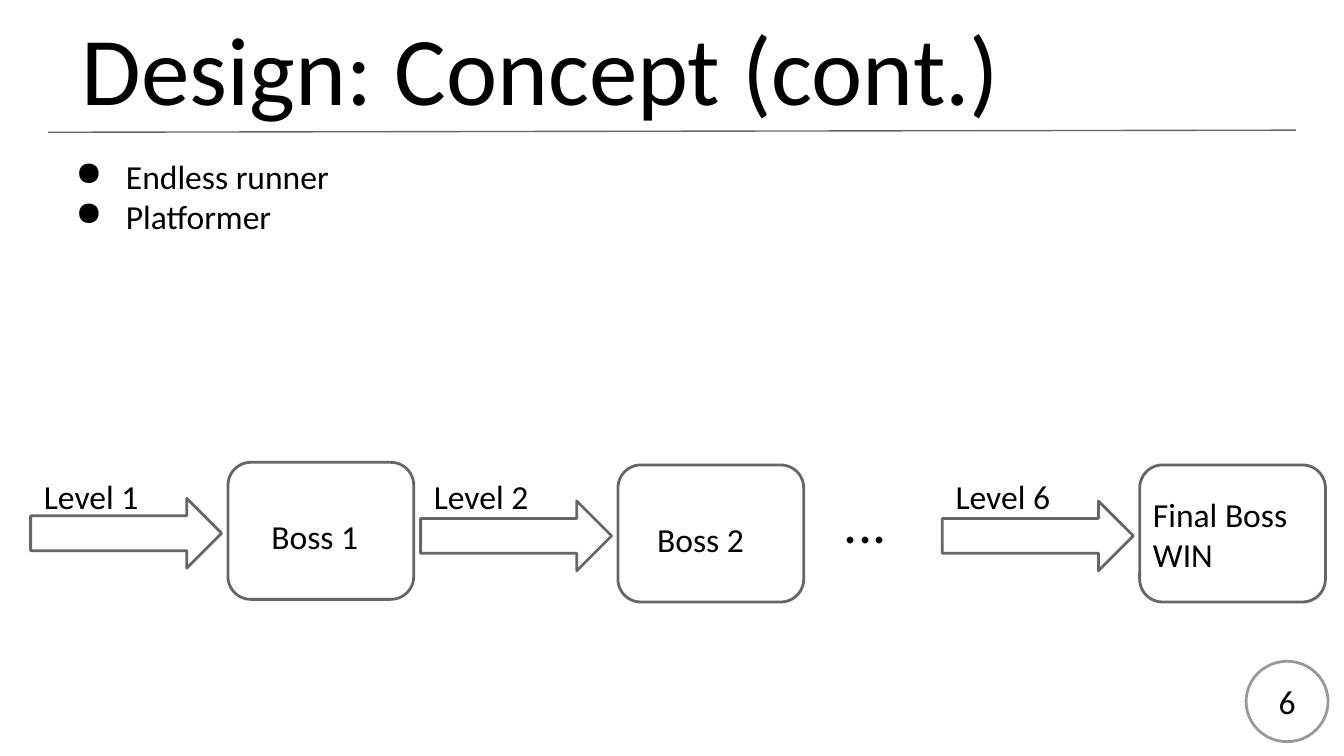
import pptx
import pptx.dml.color
import pptx.enum.shapes
import pptx.enum.text
import pptx.oxml
import pptx.oxml.ns
import pptx.util

Cm = pptx.util.Cm
Pt = pptx.util.Pt
ShapeType = pptx.enum.shapes.MSO_SHAPE
Anchor = pptx.enum.text.MSO_ANCHOR
Align = pptx.enum.text.PP_ALIGN


def color(value):
    return pptx.dml.color.RGBColor.from_string(value)


def add_bullet(paragraph):
    properties = paragraph._p.get_or_add_pPr()
    properties.set("marL", str(Cm(1.27)))
    properties.set("indent", str(-Cm(0.95)))
    namespace = pptx.oxml.ns.nsdecls("a")
    for markup in (
        f'<a:buClr {namespace}><a:srgbClr val="000000"/></a:buClr>',
        f'<a:buChar {namespace} char="●"/>',
    ):
        properties.append(pptx.oxml.parse_xml(markup))


def write_text(frame, text, size=18, align=Align.LEFT, anchor=Anchor.TOP, bullet=False):
    frame.word_wrap = True
    frame.vertical_anchor = anchor
    frame.margin_left = frame.margin_right = Cm(0.25)
    frame.margin_top = frame.margin_bottom = Cm(0.25)
    for index, line in enumerate(text.split("\n")):
        paragraph = frame.add_paragraph() if index else frame.paragraphs[0]
        paragraph.alignment = align
        if bullet:
            add_bullet(paragraph)
        run = paragraph.add_run()
        run.text = line
        run.font.name = "Calibri"
        run.font.size = Pt(size)
        run.font.color.rgb = color("000000")


class SlideBuilder:
    dark = "666666"
    light = "999999"

    def __init__(self, slide):
        self.slide = slide

    def text(self, left, top, width, height, text, **style):
        box = self.slide.shapes.add_textbox(Cm(left), Cm(top), Cm(width), Cm(height))
        write_text(box.text_frame, text, **style)

    def outline(self, kind, left, top, width, height, line=dark):
        shape = self.slide.shapes.add_shape(kind, Cm(left), Cm(top), Cm(width), Cm(height))
        shape.shadow.inherit = False
        shape.fill.background()
        shape.line.color.rgb = color(line)
        shape.line.width = Pt(1.5)
        return shape

    def rule(self, left, top, right, bottom):
        connector = self.slide.shapes.add_connector(
            pptx.enum.shapes.MSO_CONNECTOR.STRAIGHT, Cm(left), Cm(top), Cm(right), Cm(bottom)
        )
        connector.line.color.rgb = color(self.dark)
        connector.line.width = Pt(0.75)
        namespace = pptx.oxml.ns.nsdecls("a")
        connector._element.spPr.append(pptx.oxml.parse_xml(f"<a:effectLst {namespace}/>"))

    def page_number(self, number):
        circle = self.outline(ShapeType.OVAL, 23.55, 12.5, 1.55, 1.52, self.light)
        write_text(circle.text_frame, number, align=Align.CENTER, anchor=Anchor.MIDDLE)

    def stage(self, left, top, level):
        self.outline(ShapeType.RIGHT_ARROW, left, top + 0.68, 3.61, 1.32)
        self.outline(ShapeType.ROUNDED_RECTANGLE, left + 3.73, top, 3.51, 2.59)
        self.text(left, 8.74, 2.95, 1.04, level)


def main():
    presentation = pptx.Presentation()
    presentation.slide_width = Cm(25.4)
    presentation.slide_height = Cm(14.29)
    slide = presentation.slides.add_slide(presentation.slide_layouts[6])
    builder = SlideBuilder(slide)

    builder.text(1.3, 0.28, 22.76, 2.34, "Design: Concept (cont.)", size=52, anchor=Anchor.BOTTOM)
    builder.rule(0.91, 2.5, 24.49, 2.46)
    builder.text(0.86, 2.69, 10.03, 3, "Endless runner\nPlatformer", bullet=True)

    for left, top, level in (
        (0.58, 8.74, "Level 1"),
        (7.95, 8.79, "Level 2"),
        (17.81, 8.79, "Level 6"),
    ):
        builder.stage(left, top, level)

    builder.text(4.88, 9.5, 2.95, 1.04, "Boss 1")
    builder.text(12.17, 9.55, 2.95, 1.04, "Boss 2")
    builder.text(21.54, 9.09, 4.22, 1.98, "Final Boss\nWIN")
    builder.text(15.7, 8.97, 1.68, 1.75, "...", size=30)
    builder.page_number("6")

    presentation.save("out.pptx")


if __name__ == "__main__":
    main()
